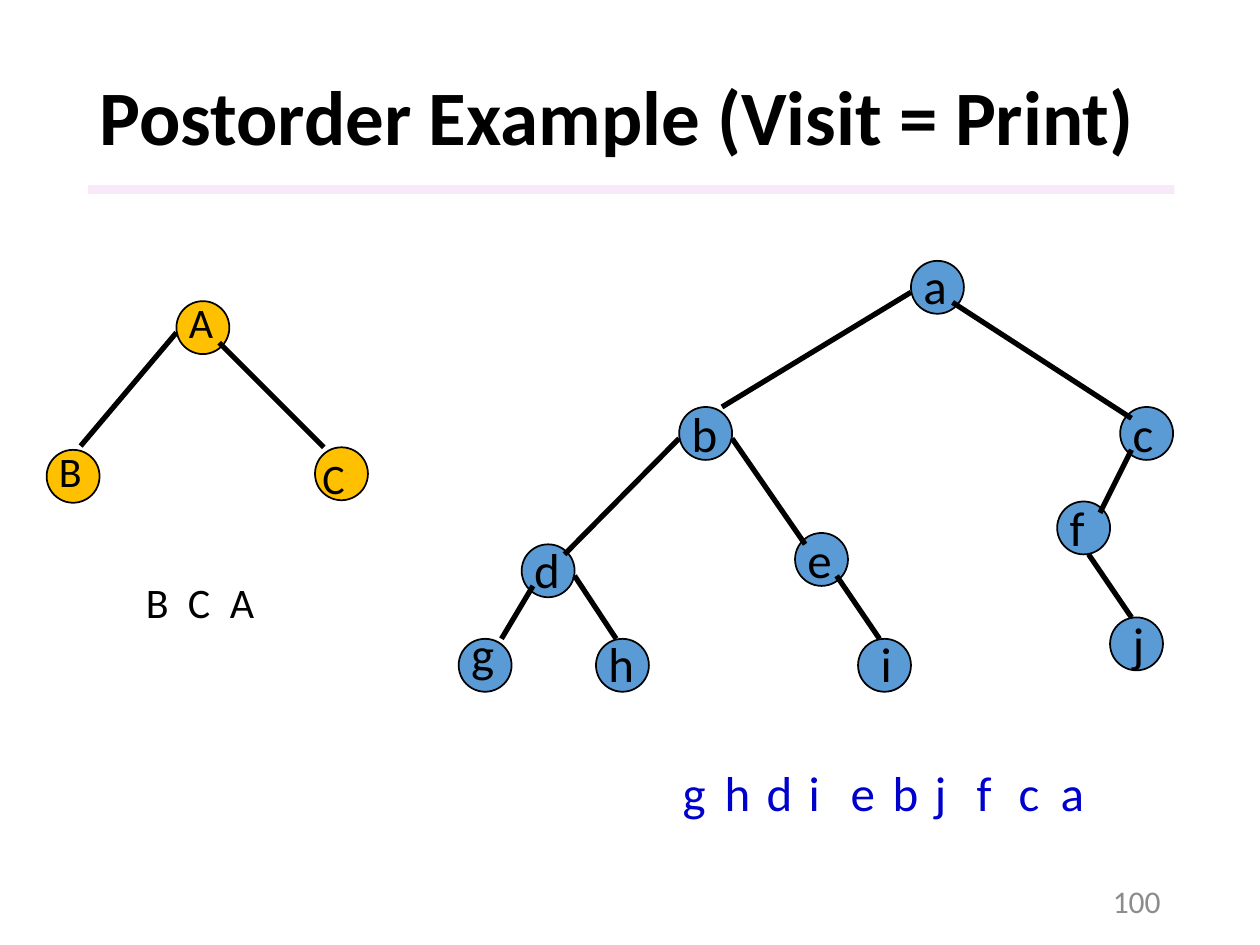
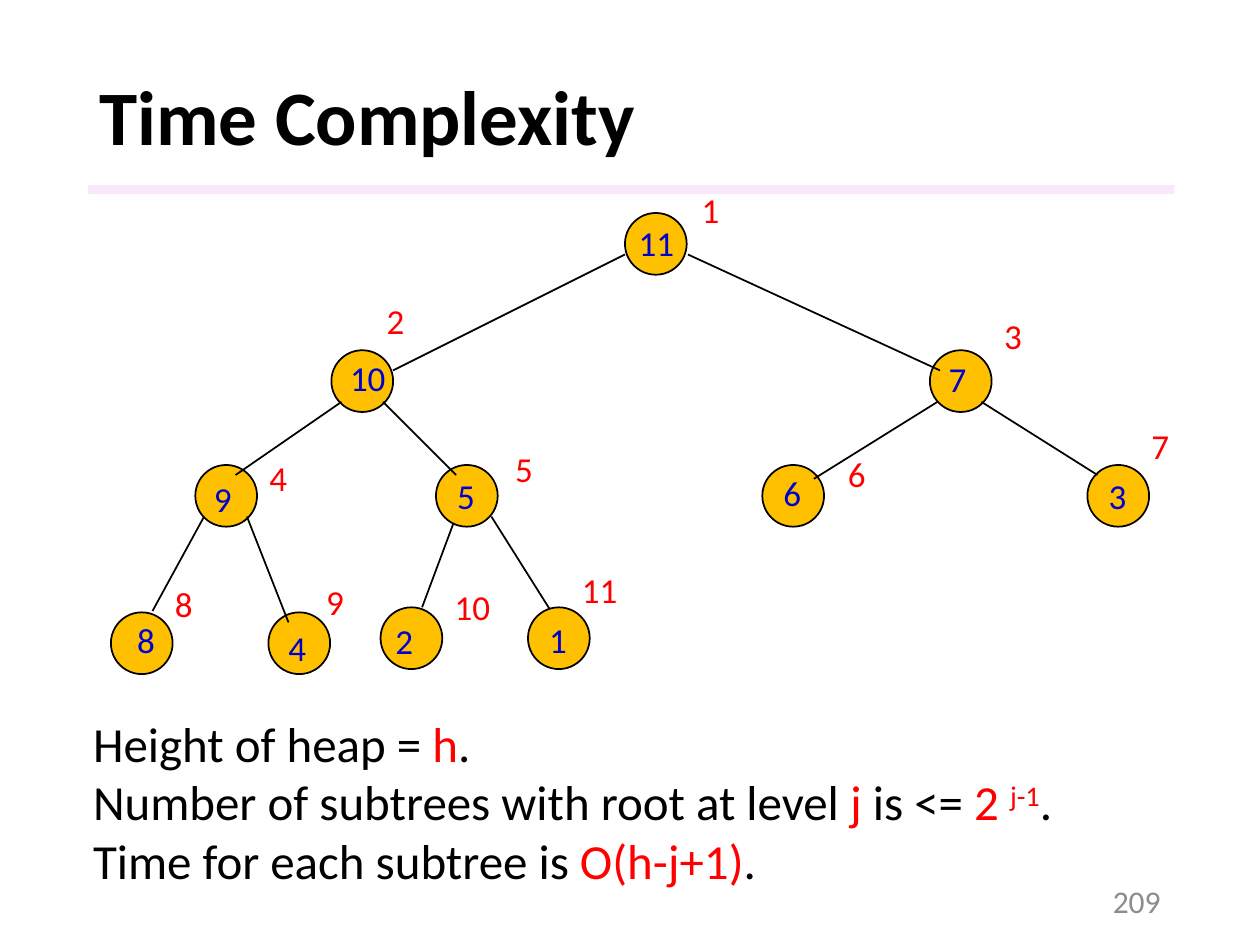
"""Builds two slides on binary trees: postorder traversal and heap time complexity."""
from lxml import etree
from pptx import Presentation
from pptx.dml.color import RGBColor
from pptx.enum.shapes import MSO_CONNECTOR, MSO_SHAPE
from pptx.enum.text import MSO_ANCHOR, PP_ALIGN
from pptx.oxml.ns import qn
from pptx.util import Inches, Pt

STRAIGHT = MSO_CONNECTOR.STRAIGHT
OVAL, RECTANGLE = MSO_SHAPE.OVAL, MSO_SHAPE.RECTANGLE
TOP, MIDDLE = MSO_ANCHOR.TOP, MSO_ANCHOR.MIDDLE
LEFT, RIGHT = PP_ALIGN.LEFT, PP_ALIGN.RIGHT

FONT = "Calibri"
BLACK, GREY, RED, NAVY = "000000", "8C8C8C", "FF0000", "0000CC"
GOLD, BLUE, PINK = "FFC000", "5B9BD5", "F3D2F4"

deck = Presentation()
deck.slide_width, deck.slide_height = Inches(10), Inches(7.5)
COLUMNS = 100
CELL = deck.slide_width / COLUMNS
LETTER_STEP = COLUMNS / 30


def paint(target, color):
    """Give a fill, or the fill of a line, one solid colour."""
    target.solid()
    target.fore_color.rgb = RGBColor.from_string(color)


def write(page, at, lines, size, anchor=TOP, align=LEFT):
    """Place lines of (text, colour) spans in a box measured in grid cells."""
    box = page.shapes.add_textbox(*[round(length * CELL) for length in at])
    frame = box.text_frame
    frame.word_wrap = True
    frame.vertical_anchor = anchor
    for index, spans in enumerate(lines):
        para = frame.paragraphs[0] if index == 0 else frame.add_paragraph()
        para.alignment = align
        para.font.name, para.font.size = FONT, Pt(size)
        for text, color in spans:
            span = para.add_run()
            span.text = text
            paint(span.font.fill, color)
    return frame.paragraphs


pages = []
for title, number in [("Postorder Example (Visit = Print)", "100"), ("Time Complexity", "209")]:
    page = deck.slides.add_slide(deck.slide_layouts[6])
    pages.append(page)
    band = page.shapes.add_shape(RECTANGLE, *[round(n * CELL) for n in (7, 14.7, 86.2, 0.7)])
    band.shadow.inherit = False
    band.line.fill.background()
    paint(band.fill, PINK)
    tint = band.fill._xPr.find(qn("a:solidFill"))[0]
    etree.SubElement(tint, qn("a:alpha")).set("val", "50000")
    heading = write(page, (6.9, 4, 86.2, 11.1), [[(title, BLACK)]], 44, MIDDLE)[0]
    heading.font.bold = True
    heading.line_spacing = 0.9
    write(page, (70.6, 69.5, 22.5, 4), [[(number, GREY)]], 18, MIDDLE, RIGHT)
postorder, complexity = pages

small_nodes = [
    ("A", 14, 23.9, 0, -0.9), ("B", 3.7, 35.7, 0, -0.8), ("C", 25, 35.5, -0.4, -0.1),
]
small_edges = [(14, 26.4, 6.4, 35.4), (17.4, 27.2, 25.7, 35.5)]

large_nodes = [
    ("a", 72.3, 20.7, 0, -0.9), ("b", 53.9, 32.3, 0, -0.8), ("c", 88.9, 32.3, 0, -0.8),
    ("d", 41.4, 43.2, 0, -0.9), ("e", 63.1, 42.3, 0, -0.8), ("f", 83.9, 39.8, 0, -0.8),
    ("g", 36.4, 50.7, 0, -1.7), ("h", 47.3, 50.7, 0, -0.9), ("i", 68.1, 50.7, 0.8, -0.9),
    ("j", 88.1, 49, 0.8, -0.8),
]
large_edges = [
    (72.3, 23.2, 57.3, 32.3), (75.6, 24, 89.8, 33.2), (53.9, 34.8, 44.8, 44),
    (58.1, 34.8, 63.9, 43.2), (89.8, 35.7, 87.3, 40.7), (42.3, 46.5, 39.8, 50.7),
    (45.6, 45.7, 48.9, 50.7), (66.4, 45.7, 69.8, 50.7), (86.4, 44, 89.8, 49),
]

heap_nodes = [
    ("11", 49.6, 16.9, 0.1, 0.2), ("10", 26.3, 27.8, 0.5, 0), ("7", 73.8, 27.8, 0.5, 0.1),
    ("9", 15.5, 36.9, 0.5, 0.5), ("5", 34.6, 36.9, 0.7, 0.3), ("6", 60.5, 36.9, 0.7, 0),
    ("3", 86.3, 36.9, 0.7, 0.3), ("8", 8.8, 48.6, 1.1, 0), ("4", 21.3, 48.6, 0.6, 0.6),
    ("2", 30.2, 48.2, 0.2, 0.5), ("1", 41.9, 48.2, 0.7, 0.4),
]
heap_edges = [
    (49.6, 20.2, 31.2, 29.4), (54.6, 20.2, 74.6, 29.4), (27.1, 31.9, 18.7, 37.7),
    (30.4, 31.9, 36.2, 37.7), (74.4, 31.9, 64.6, 38), (77.9, 31.9, 87.1, 37.7),
    (16.2, 41, 12.1, 48.5), (19.6, 41, 22.9, 49.4), (36, 41.5, 33.5, 48.2),
    (39, 41, 43.6, 48.3),
]

trees = [
    (postorder, small_nodes, small_edges, 4.2, GOLD, 3, 24, BLACK),
    (postorder, large_nodes, large_edges, 4.2, BLUE, 3, 28, BLACK),
    (complexity, heap_nodes, heap_edges, 4.9, GOLD, 1, 20, NAVY),
]
for page, nodes, edges, diameter, fill, weight, size, ink in trees:
    for key, left, top, shift, drop in nodes:
        node = page.shapes.add_shape(
            OVAL, *[round(n * CELL) for n in (left, top, diameter, diameter)])
        node.shadow.inherit = False
        paint(node.fill, fill)
        paint(node.line.fill, BLACK)
        node.line.width = Pt(1)
    for ends in edges:
        edge = page.shapes.add_connector(STRAIGHT, *[round(n * CELL) for n in ends])
        paint(edge.line.fill, BLACK)
        edge.line.width = Pt(weight)
        etree.SubElement(edge._element.spPr, qn("a:effectLst"))
    for key, left, top, shift, drop in nodes:
        write(page, (left + shift, top + drop, 5.4, size / 5), [[(key, ink)]], size)

for letters, left, top, size, ink in [("BCA", 10.6, 45.3, 24, BLACK),
                                      ("ghdiebjfca", 53.2, 60, 28, NAVY)]:
    for index, letter in enumerate(letters):
        write(postorder, (left + index * LETTER_STEP, top, 4.2, size / 5),
              [[(letter, ink)]], size)

positions = [
    (54.7, 14.5), (29.7, 23.3), (78.7, 24.5), (20.4, 35.7), (39.9, 35), (66.3, 35.4),
    (90.4, 33.2), (12.9, 45.7), (24.9, 45.6), (35.1, 46), (45.2, 44.6),
]
for rank, (left, top) in enumerate(positions, 1):
    write(complexity, (left, top, 5.8, 4.4), [[(str(rank), RED)]], 20)

summary = write(complexity, (6.4, 56.1, 89.2, 17.2), [
    [("Height of heap = ", BLACK), ("h", RED), (".", BLACK)],
    [("Number of subtrees with root at level ", BLACK), ("j", RED), (" is <= ", BLACK),
     ("2 ", RED), ("j-1", RED), (".", BLACK)],
    [("Time for each subtree is ", BLACK), ("O(h-j+1)", RED), (".", BLACK)],
], 28)
exponent = summary[1].runs[4]
exponent._r.get_or_add_rPr().set("baseline", "30000")

deck.save("out.pptx")
